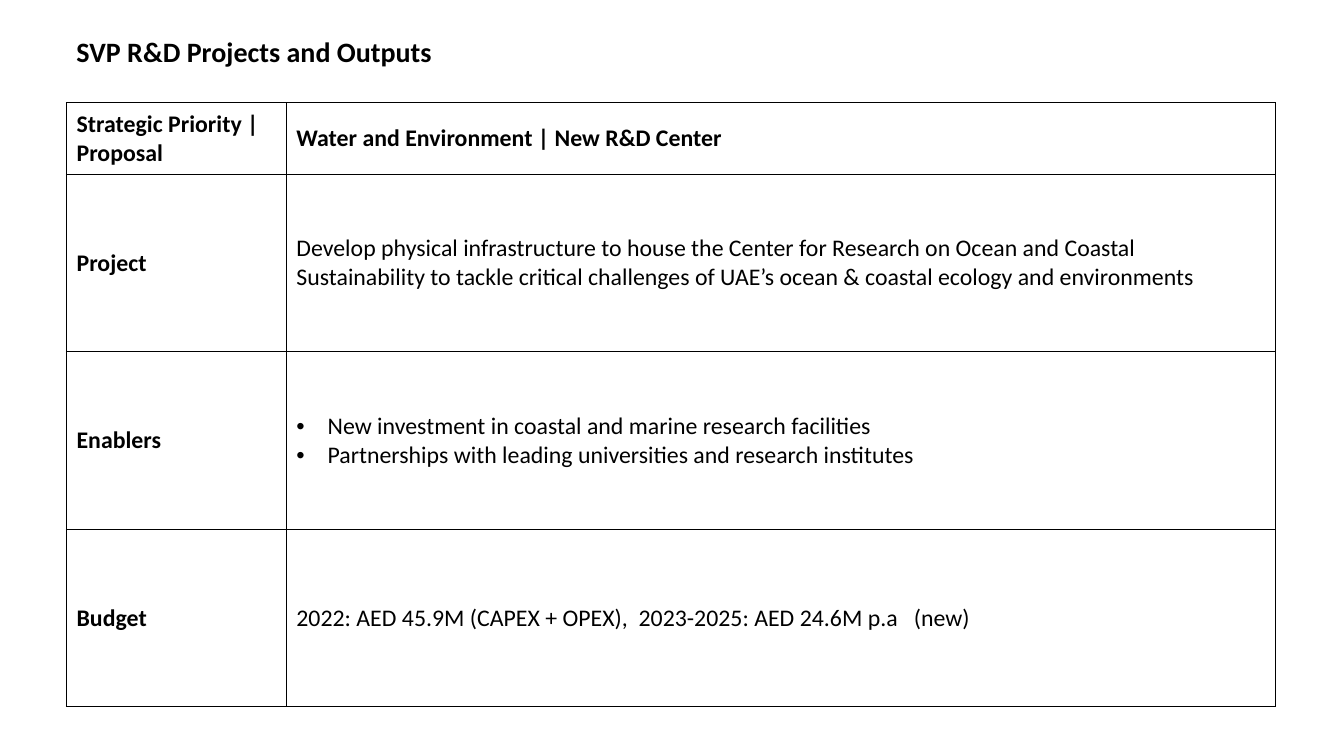
from lxml import etree
from pptx import Presentation
from pptx.dml.color import RGBColor
from pptx.enum.text import MSO_ANCHOR
from pptx.oxml.ns import qn
from pptx.util import Inches, Pt

MIDDLE = MSO_ANCHOR.MIDDLE
FONT = "Calibri"
BLACK = "000000"
LEFT, WIDTH = 0.66, 11.99
COLS = [2.18, 9.81]
ROWS = [0.71, 1.76, 1.76, 1.76]

# Each row: label, lines of text, bold, bulleted
CONTENT = [
    ("Strategic Priority | Proposal",
     ["Water and Environment | New R&D Center"], True, False),
    ("Project",
     ["Develop physical infrastructure to house the Center for Research on "
      "Ocean and Coastal Sustainability to tackle critical challenges of "
      "UAE’s ocean & coastal ecology and environments"], False, False),
    ("Enablers",
     ["New investment in coastal and marine research facilities",
      "Partnerships with leading universities and research institutes"],
     False, True),
    ("Budget",
     ["2022: AED 45.9M (CAPEX + OPEX),  2023-2025: AED 24.6M p.a   (new)"],
     False, False),
]


def color(code):
    return RGBColor.from_string(code)


def style(para, size, bold):
    font = para.font
    font.name = FONT
    font.size = Pt(size)
    font.bold = bold
    font.color.rgb = color(BLACK)


def add_bullet(para):
    props = para._p.get_or_add_pPr()
    props.set("marL", str(Inches(0.31)))
    props.set("indent", str(Inches(-0.31)))
    etree.SubElement(props, qn("a:buFont")).set("typeface", "Arial")
    etree.SubElement(props, qn("a:buChar")).set("char", "•")


def add_border(cell):
    props = cell._tc.get_or_add_tcPr()
    for index, side in enumerate(("lnL", "lnR", "lnT", "lnB")):
        line = etree.Element(qn("a:" + side), w=str(Pt(1)))
        fill = etree.SubElement(line, qn("a:solidFill"))
        etree.SubElement(fill, qn("a:srgbClr")).set("val", BLACK)
        props.insert(index, line)


def fill_cell(cell, lines, bold, bullet=False):
    cell.fill.background()
    cell.vertical_anchor = MIDDLE
    add_border(cell)
    cell.text_frame.text = "\n".join(lines)
    for para in cell.text_frame.paragraphs:
        if bullet:
            add_bullet(para)
        style(para, 17, bold)


def add_title(slide, text):
    box = slide.shapes.add_textbox(
        Inches(LEFT), Inches(0.29), Inches(WIDTH), Inches(0.44))
    frame = box.text_frame
    frame.word_wrap = True
    frame.text = text
    style(frame.paragraphs[0], 20, True)


def add_grid(slide):
    table = slide.shapes.add_table(
        len(ROWS), len(COLS), Inches(LEFT), Inches(1.02),
        Inches(WIDTH), Inches(sum(ROWS))).table
    table.first_row = False
    table.horz_banding = False
    for col, width in zip(table.columns, COLS):
        col.width = Inches(width)
    for row, height, (label, lines, bold, bullet) in zip(
            table.rows, ROWS, CONTENT):
        row.height = Inches(height)
        fill_cell(row.cells[0], [label], True)
        fill_cell(row.cells[1], lines, bold, bullet)


def main():
    deck = Presentation()
    deck.slide_width = Inches(13.33)
    deck.slide_height = Inches(7.5)
    slide = deck.slides.add_slide(deck.slide_layouts[6])

    # Heading
    add_title(slide, "SVP R&D Projects and Outputs")
    # Project table
    add_grid(slide)

    deck.save("out.pptx")


if __name__ == "__main__":
    main()
